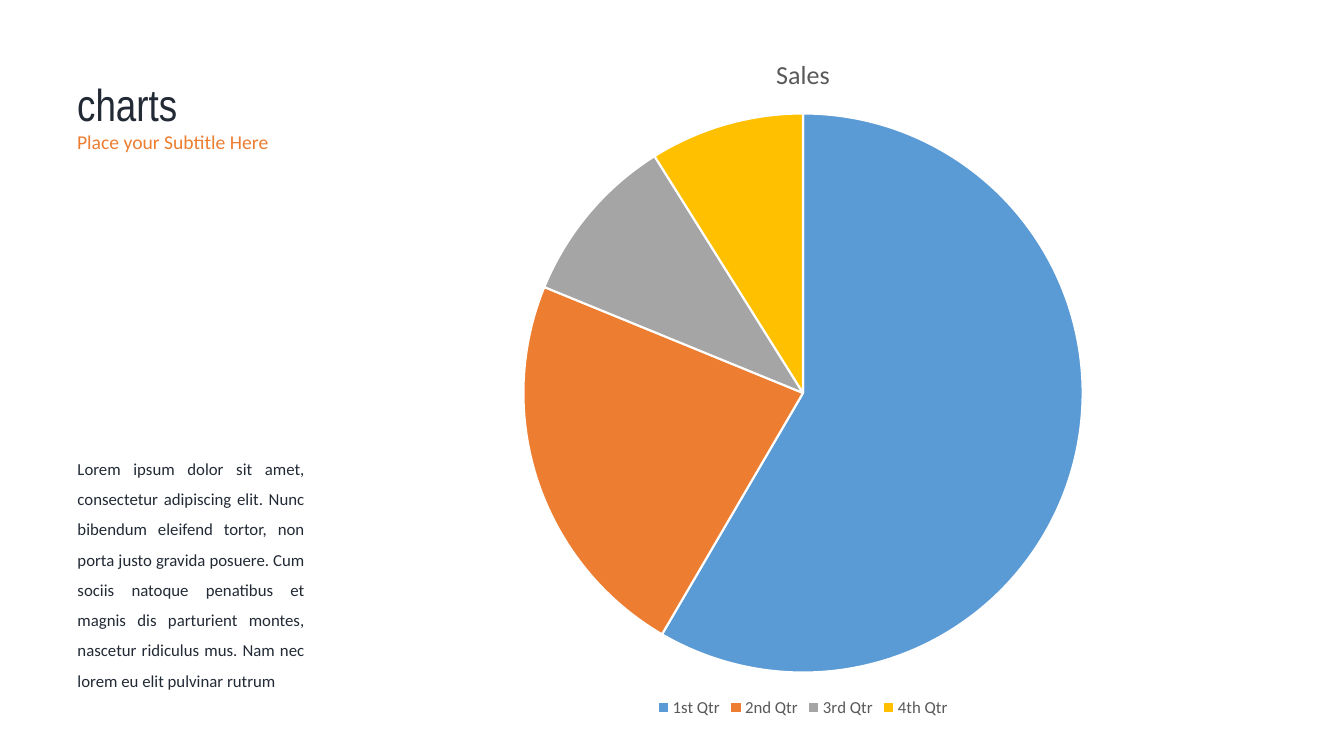
from pptx import Presentation
from pptx.chart.data import CategoryChartData
from pptx.dml.color import RGBColor
from pptx.enum.chart import XL_CHART_TYPE, XL_LEGEND_POSITION
from pptx.enum.text import MSO_AUTO_SIZE, PP_ALIGN
from pptx.util import Inches, Pt

WIDE, HIGH = Inches(13.33), Inches(7.5)
NAVY = RGBColor(0x22, 0x2A, 0x35)
ORANGE = RGBColor(0xED, 0x7D, 0x31)
BLUE = RGBColor(0x5B, 0x9B, 0xD5)
SILVER = RGBColor(0xA5, 0xA5, 0xA5)
GOLD = RGBColor(0xFF, 0xC0, 0x00)
GREY = RGBColor(0x59, 0x59, 0x59)
BLACK = RGBColor(0, 0, 0)
WHITE = RGBColor(0xFF, 0xFF, 0xFF)

SALES = [("1st Qtr", 59, BLUE), ("2nd Qtr", 23, ORANGE),
         ("3rd Qtr", 10, SILVER), ("4th Qtr", 9, GOLD)]
LOREM = ("Lorem ipsum dolor sit amet, consectetur adipiscing elit. Nunc "
         "bibendum eleifend tortor, non porta justo gravida posuere. Cum "
         "sociis natoque penatibus et magnis dis parturient montes, nascetur "
         "ridiculus mus. Nam nec lorem eu elit pulvinar rutrum")


def share(left, top, width, height):
    return (round(left * WIDE), round(top * HIGH),
            round(width * WIDE), round(height * HIGH))


def style(font, size, color, face="Calibri"):
    font.size, font.name = Pt(size), face
    font.color.rgb = color


def write(slide, box, text, size, color, face="Calibri",
          align=PP_ALIGN.LEFT, space=1.0):
    frame = slide.shapes.add_textbox(*box).text_frame
    frame.word_wrap = True
    frame.auto_size = MSO_AUTO_SIZE.SHAPE_TO_FIT_TEXT
    para = frame.paragraphs[0]
    para.alignment, para.line_spacing = align, space
    run = para.add_run()
    run.text = text
    style(run.font, size, color, face)


def header(slide, box):
    left, top, width, height = box
    write(slide, (left, top, width, round(height * 0.74)), "charts",
          32, NAVY, face="Arial Narrow")
    write(slide, (left, top + round(height * 0.61), round(width * 0.95),
                  round(height * 0.39)),
          "Place your Subtitle Here", 14, ORANGE)


def pie(slide, box):
    data = CategoryChartData()
    data.categories = [name for name, value, color in SALES]
    data.add_series("Sales", [value for name, value, color in SALES])
    chart = slide.shapes.add_chart(XL_CHART_TYPE.PIE, *box, data).chart
    style(chart.font, 10, BLACK)

    chart.has_title = True
    title = chart.chart_title
    title.include_in_layout = False
    title.text_frame.text = "Sales"
    style(title.text_frame.paragraphs[0].runs[0].font, 18.6, GREY)
    title.text_frame.paragraphs[0].runs[0].font.bold = False

    chart.has_legend = True
    chart.legend.position = XL_LEGEND_POSITION.BOTTOM
    chart.legend.include_in_layout = False
    style(chart.legend.font, 12, GREY)

    plot = chart.plots[0]
    plot.vary_by_categories = True
    for place, (name, value, color) in enumerate(SALES):
        slice_format = plot.series[0].points[place].format
        slice_format.fill.solid()
        slice_format.fill.fore_color.rgb = color
        slice_format.line.color.rgb = WHITE
        slice_format.line.width = Pt(1.5)


def body(slide, box):
    write(slide, box, LOREM, 12, NAVY, align=PP_ALIGN.JUSTIFY, space=1.5)


def main():
    deck = Presentation()
    deck.slide_width, deck.slide_height = WIDE, HIGH
    slide = deck.slides.add_slide(deck.slide_layouts[6])
    slide.background.fill.solid()
    slide.background.fill.fore_color.rgb = WHITE
    header(slide, share(0.05, 0.095, 0.81, 0.116))
    pie(slide, (Inches(2.88), Inches(0.32), Inches(10.17), Inches(6.84)))
    body(slide, (Inches(0.67), Inches(4.4), Inches(2.45), Inches(2.52)))
    deck.save("out.pptx")


if __name__ == "__main__":
    main()
